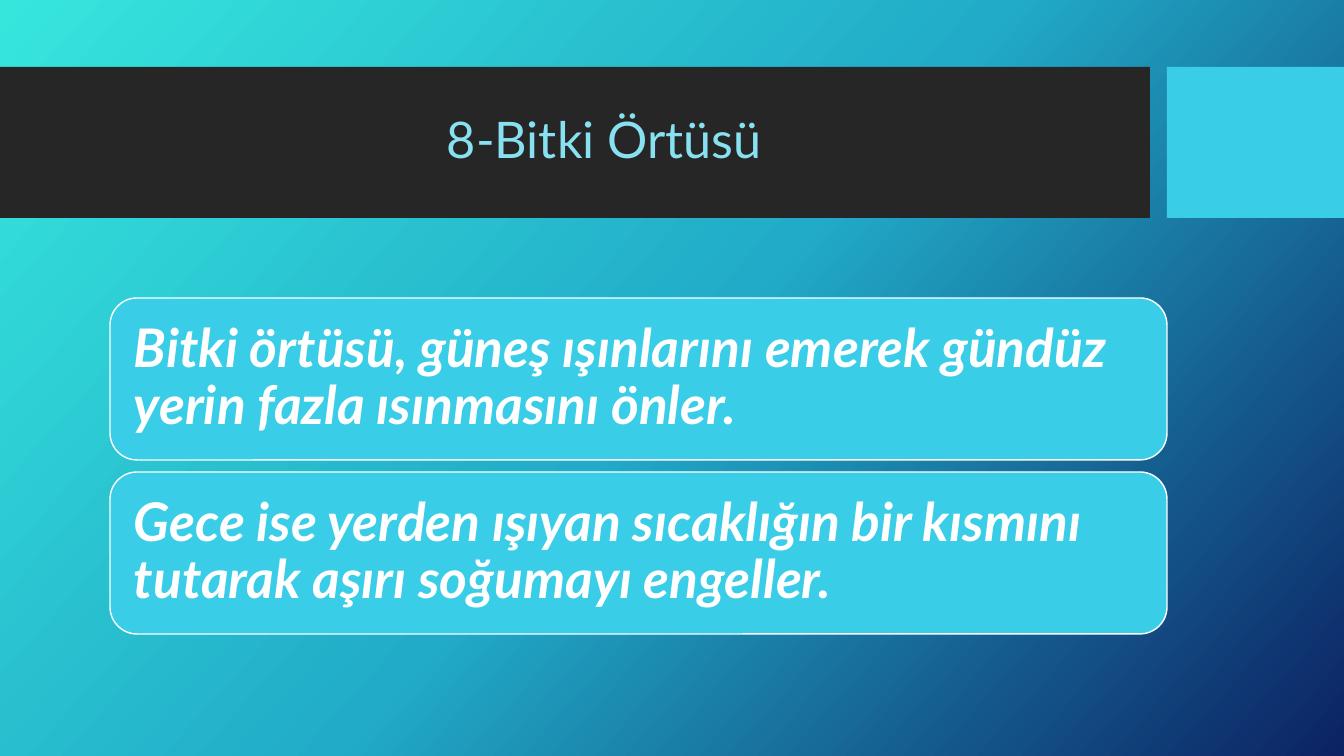
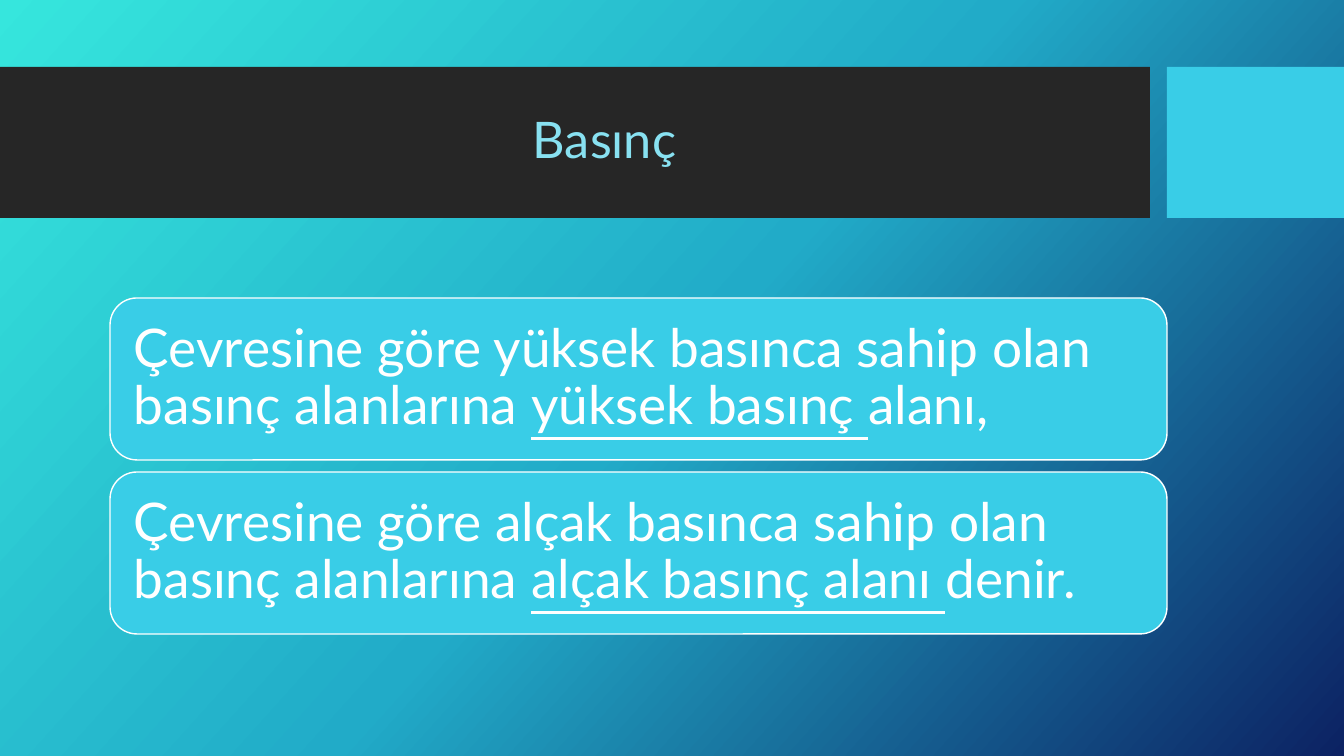
"""Build two slides on vegetation and air pressure as climate factors."""
from copy import deepcopy
from dataclasses import dataclass

from pptx import Presentation
from pptx.dml.color import RGBColor
from pptx.enum.shapes import MSO_SHAPE
from pptx.enum.text import MSO_ANCHOR, PP_ALIGN
from pptx.oxml.ns import qn
from pptx.util import Pt


@dataclass(frozen=True)
class Theme:
    font: str = "Lato"
    title_size: int = 36
    card_size: int = 38
    band: str = "262626"
    accent: str = "39CDE7"
    title: str = "88E1F1"
    white: str = "FFFFFF"
    gradient: tuple = ((0, "36E6DD"), (0.5, "21ABC8"), (1, "0C2263"))


THEME = Theme()
PX = 12192000 / 1344
BANDS = ((0, 1150, THEME.band), (1167, 177, THEME.accent))
BAND_TOP, BAND_HEIGHT = 67, 151
CARD_LEFT, CARD_TOP, CARD_WIDTH, CARD_HEIGHT, CARD_GAP = 110, 298, 1057, 162, 12
CARD_INSET = 16

SLIDES = (
    ("8-Bitki Örtüsü", True, (
        (("Bitki örtüsü, güneş ışınlarını emerek gündüz yerin fazla ısınmasını önler.", False),),
        (("Gece ise yerden ışıyan sıcaklığın bir kısmını tutarak aşırı soğumayı engeller.", False),),
    )),
    ("Basınç", False, (
        (("Çevresine göre yüksek basınca sahip olan basınç alanlarına ", False),
         ("yüksek basınç ", True), ("alanı,", False)),
        (("Çevresine göre alçak basınca sahip olan basınç alanlarına ", False),
         ("alçak basınç alanı ", True), ("denir.", False)),
    )),
)


def add_block(slide, kind, box, color):
    shape = slide.shapes.add_shape(kind, *(round(length * PX) for length in box))
    shape.shadow.inherit = False
    shape.fill.solid()
    shape.fill.fore_color.rgb = RGBColor.from_string(color)
    shape.line.fill.background()
    return shape


def style_text(shape, size, color, alignment):
    frame = shape.text_frame
    frame.word_wrap = True
    frame.vertical_anchor = MSO_ANCHOR.MIDDLE
    paragraph = frame.paragraphs[0]
    paragraph.alignment = alignment
    paragraph.line_spacing = 0.9
    paragraph.font.name = THEME.font
    paragraph.font.size = Pt(size)
    paragraph.font.color.rgb = RGBColor.from_string(color)
    return paragraph


presentation = Presentation()
presentation.slide_width = round(1344 * PX)
presentation.slide_height = round(756 * PX)

master = presentation.slide_master
background = master.background.fill
background.gradient()
background.gradient_angle = 360 - 42
stop_list = next(master.element.iter(qn("a:gsLst")))
stop_list.append(deepcopy(stop_list[0]))
for stop, (position, color) in zip(background.gradient_stops, THEME.gradient):
    stop.position = position
    stop.color.rgb = RGBColor.from_string(color)

for title, emphasized, cards in SLIDES:
    slide = presentation.slides.add_slide(presentation.slide_layouts[6])
    for left, width, color in BANDS:
        add_block(slide, MSO_SHAPE.RECTANGLE, (left, BAND_TOP, width, BAND_HEIGHT), color)

    title_box = slide.shapes.add_textbox(*(round(length * PX) for length in (75, 83, 1059, 119)))
    paragraph = style_text(title_box, THEME.title_size, THEME.title, PP_ALIGN.CENTER)
    paragraph.add_run().text = title

    for index, runs in enumerate(cards):
        top = CARD_TOP + index * (CARD_HEIGHT + CARD_GAP)
        card = add_block(slide, MSO_SHAPE.ROUNDED_RECTANGLE,
                         (CARD_LEFT, top, CARD_WIDTH, CARD_HEIGHT), THEME.accent)
        card.line.color.rgb = RGBColor.from_string(THEME.white)
        card.line.width = Pt(1)
        frame = card.text_frame
        frame.margin_left = frame.margin_right = round(CARD_INSET * PX)
        frame.margin_top = frame.margin_bottom = round(CARD_INSET * PX)
        paragraph = style_text(card, THEME.card_size, THEME.white, PP_ALIGN.LEFT)
        paragraph.font.bold = paragraph.font.italic = emphasized
        for text, underlined in runs:
            run = paragraph.add_run()
            run.text = text
            if underlined:
                run.font.underline = True

presentation.save("out.pptx")
